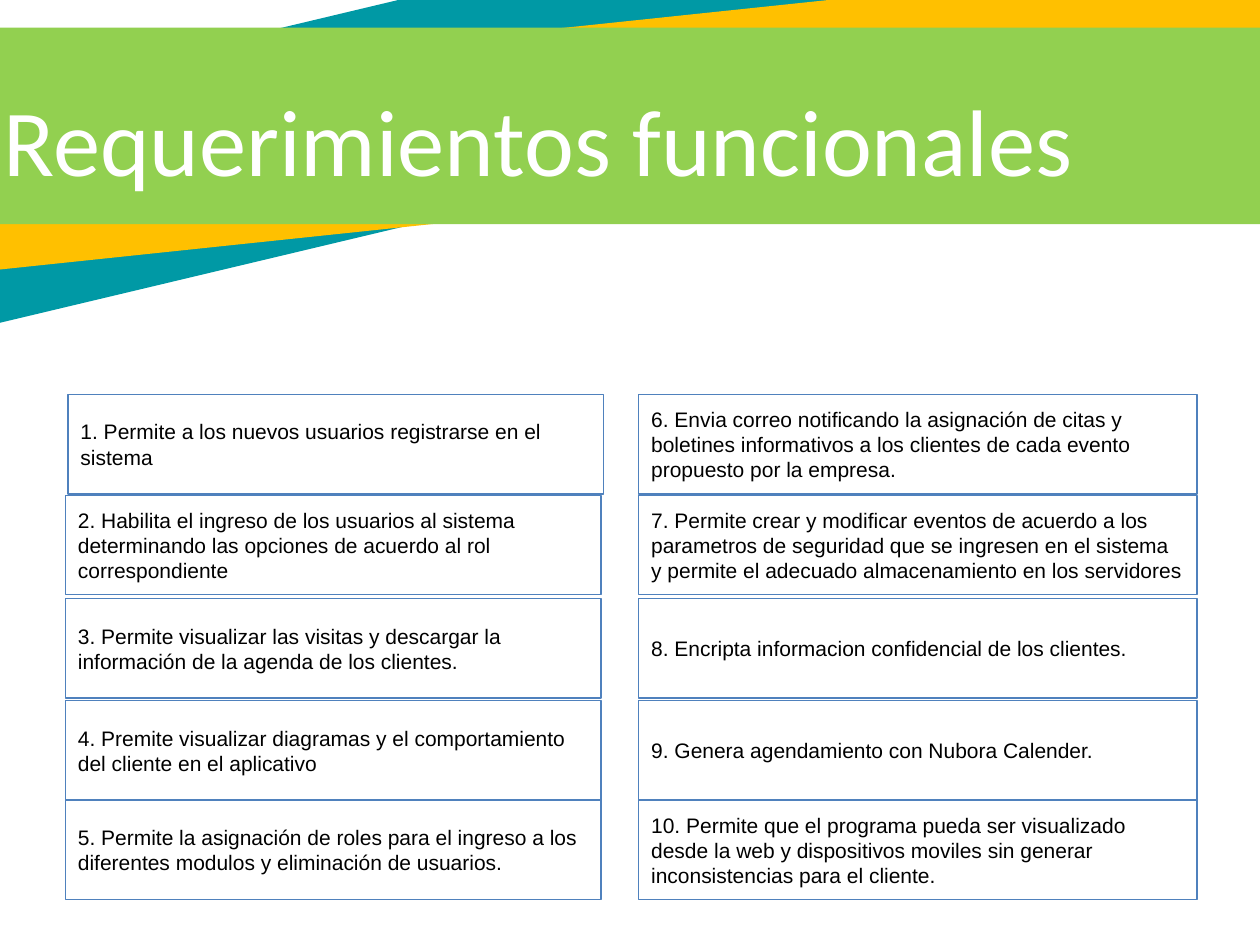
import pptx
import pptx.dml.color
import pptx.enum.shapes
import pptx.enum.text
import pptx.util
from pptx.util import Inches

COLORS = {
    "teal": "0099A5",
    "amber": "FFC000",
    "green": "92D050",
    "border": "4F81BD",
    "title": "FFFFFF",
    "body": "000000",
}

BANDS = [
    # left, top, width, height, rotation, color
    (-2.51, -0.18, 13.06, 1.76, 346.6, "teal"),
    (-1.1, 0.2, 11.63, 1.44, 354, "amber"),
    (-1.06, 0.22, 11.63, 1.56, 0, "green"),
]

ROW_TOPS = [3.13, 3.93, 4.75, 5.56, 6.35]
ROW_HEIGHT = 0.79
FIRST_BOX_SHIFT = 0.02

COLUMNS = [
    # left, width, requirements
    (0.52, 4.25, [
        "Permite a los nuevos usuarios registrarse en el sistema",
        "Habilita el ingreso de los usuarios al sistema determinando las "
        "opciones de acuerdo al rol correspondiente",
        "Permite visualizar las visitas y descargar la información de la "
        "agenda de los clientes.",
        "Premite visualizar diagramas y el comportamiento del cliente en el "
        "aplicativo",
        "Permite la asignación de roles para el ingreso a los diferentes "
        "modulos y eliminación de usuarios.",
    ]),
    (5.07, 4.43, [
        "Envia correo notificando la asignación de citas y boletines "
        "informativos a los clientes de cada evento propuesto por la empresa.",
        "Permite crear y modificar eventos de acuerdo a los parametros de "
        "seguridad que se ingresen en el sistema y permite el adecuado "
        "almacenamiento en los servidores",
        "Encripta informacion confidencial de los clientes.",
        "Genera agendamiento con Nubora Calender.",
        "Permite que el programa pueda ser visualizado desde la web y "
        "dispositivos moviles sin generar inconsistencias para el cliente.",
    ]),
]


def rgb(name):
    return pptx.dml.color.RGBColor.from_string(COLORS[name])


def add_rectangle(page, left, top, width, height):
    shape = page.shapes.add_shape(
        pptx.enum.shapes.MSO_SHAPE.RECTANGLE,
        Inches(left), Inches(top), Inches(width), Inches(height))
    shape.shadow.inherit = False
    return shape


def add_band(page, left, top, width, height, rotation, color):
    band = add_rectangle(page, left, top, width, height)
    band.rotation = rotation
    band.fill.solid()
    band.fill.fore_color.rgb = rgb(color)
    band.line.fill.background()


def write_text(shape, text, font, size, color):
    """Fill a shape with one left-aligned, vertically centred paragraph."""
    frame = shape.text_frame
    frame.word_wrap = True
    frame.vertical_anchor = pptx.enum.text.MSO_ANCHOR.MIDDLE
    para = frame.paragraphs[0]
    para.alignment = pptx.enum.text.PP_ALIGN.LEFT
    span = para.add_run()
    span.text = text
    span.font.name = font
    span.font.size = pptx.util.Pt(size)
    span.font.color.rgb = rgb(color)


def add_title(page, text):
    box = page.shapes.add_textbox(
        Inches(-0.07), Inches(0.62), Inches(9.39), Inches(0.97))
    write_text(box, text, "Calibri", 54, "title")


def add_requirement(page, left, top, width, text):
    box = add_rectangle(page, left, top, width, ROW_HEIGHT)
    box.fill.background()
    box.line.color.rgb = rgb("border")
    box.line.width = pptx.util.Pt(0.75)
    write_text(box, text, "Arial", 12, "body")


def main():
    deck = pptx.Presentation()
    deck.slide_width = Inches(10)
    deck.slide_height = Inches(7.5)
    page = deck.slides.add_slide(deck.slide_layouts[6])

    for band in BANDS:
        add_band(page, *band)
    add_title(page, "Requerimientos funcionales")

    number = 1
    for left, width, requirements in COLUMNS:
        for top, requirement in zip(ROW_TOPS, requirements):
            shift = FIRST_BOX_SHIFT if number == 1 else 0
            add_requirement(page, left + shift, top, width,
                            f"{number}. {requirement}")
            number += 1

    deck.save("out.pptx")


if __name__ == "__main__":
    main()
